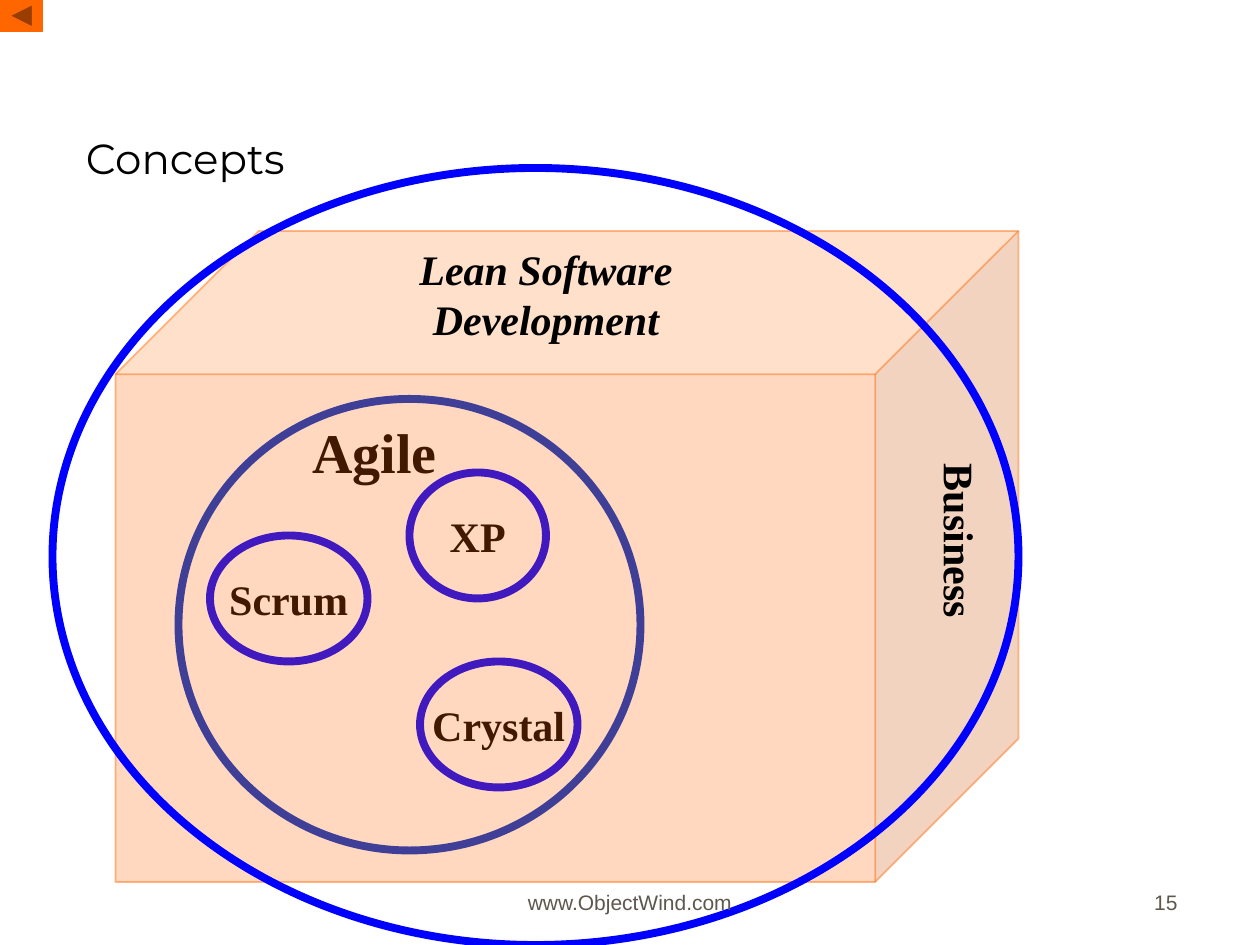
from pptx import Presentation
from pptx.dml.color import RGBColor
from pptx.enum.shapes import MSO_SHAPE as Preset
from pptx.enum.text import MSO_ANCHOR as Anchor, PP_ALIGN as Align
from pptx.oxml.ns import qn
from pptx.util import Pt
from lxml.etree import SubElement

BLACK = RGBColor(0x00, 0x00, 0x00)
BLUE = RGBColor(0x00, 0x00, 0xFF)
NAVY = RGBColor(0x00, 0x33, 0xCC)
ORANGE = RGBColor(0xFF, 0x66, 0x00)
GREY = RGBColor(0x5E, 0x57, 0x4E)
SERIF = "Times New Roman"


class ConceptPage:
    """Holds the page and the style of its shapes and labels."""

    def __init__(self, page):
        self.page = page

    def set_text(self, shape, text, size, font=SERIF, color=BLACK, bold=True,
                 italic=False, align=Align.CENTER, anchor=Anchor.MIDDLE, wrap=False):
        frame = shape.text_frame
        frame.text = text
        frame.word_wrap = wrap
        frame.vertical_anchor = anchor
        para = frame.paragraphs[0]
        para.alignment = align
        span = para.runs[0].font
        span.name, span.size, span.color.rgb = font, Pt(size), color
        span.bold, span.italic = bold, italic

    def label(self, text, place, size, vertical=False, **style):
        box = self.page.shapes.add_textbox(*map(Pt, place))
        self.set_text(box, text, size, **style)
        if vertical:
            box._element.txBody.bodyPr.set("vert", "eaVert")

    def shape(self, preset, place, line, width, fill=None):
        shape = self.page.shapes.add_shape(preset, *map(Pt, place))
        shape.shadow.inherit = False
        if fill is None:
            shape.fill.background()
        else:
            shape.fill.solid()
            shape.fill.fore_color.rgb = fill
        shape.line.color.rgb = line
        shape.line.width = Pt(width)
        return shape

    def ring(self, place, color, text=None):
        ring = self.shape(Preset.OVAL, place, color, 4.5)
        if text:
            self.set_text(ring, text, 24)

    def glass_cube(self, place, depth, fill_alpha, line_alpha):
        cube = self.shape(Preset.CUBE, place, ORANGE, 1, ORANGE)
        cube.adjustments[0] = depth
        colors = cube._element.spPr.iter(qn("a:srgbClr"))
        for color, percent in zip(list(colors), (fill_alpha, line_alpha)):
            SubElement(color, qn("a:alpha")).set("val", str(percent * 1000))


def main():
    deck = Presentation()
    deck.slide_width, deck.slide_height = Pt(720), Pt(540)
    concepts = ConceptPage(deck.slides.add_slide(deck.slide_layouts[6]))

    concepts.shape(Preset.ACTION_BUTTON_BACK_OR_PREVIOUS, (0, 0, 24, 18), ORANGE, 1, ORANGE)
    concepts.label("Concepts", (42, 18, 578, 90), 24, font="Montserrat", bold=False,
                   align=Align.LEFT, anchor=Anchor.BOTTOM, wrap=True)

    concepts.ring((102, 228, 264, 258), NAVY)
    concepts.label("Agile", (164, 236, 100, 43), 32)
    for method, left, top, width in (("XP", 234, 270, 78), ("Scrum", 120, 306, 90),
                                     ("Crystal", 240, 378, 90)):
        concepts.ring((left, top, width, 72), BLUE, method)

    concepts.glass_cube((66, 132, 516, 372), 0.22, 25, 44)
    concepts.label("Lean Software Development", (165, 150, 294, 36), 24, italic=True)
    concepts.ring((30, 96, 552, 444), BLUE)
    concepts.label("Business", (531, 258, 36, 120), 24, vertical=True)

    for text, left, width, align in (("www.ObjectWind.com", 246, 228, Align.CENTER),
                                     ("15", 530, 150, Align.RIGHT)):
        concepts.label(text, (left, 490, width, 36), 12, font="Arial", color=GREY,
                       bold=False, align=align, anchor=Anchor.BOTTOM, wrap=True)

    deck.save("out.pptx")


if __name__ == "__main__":
    main()
